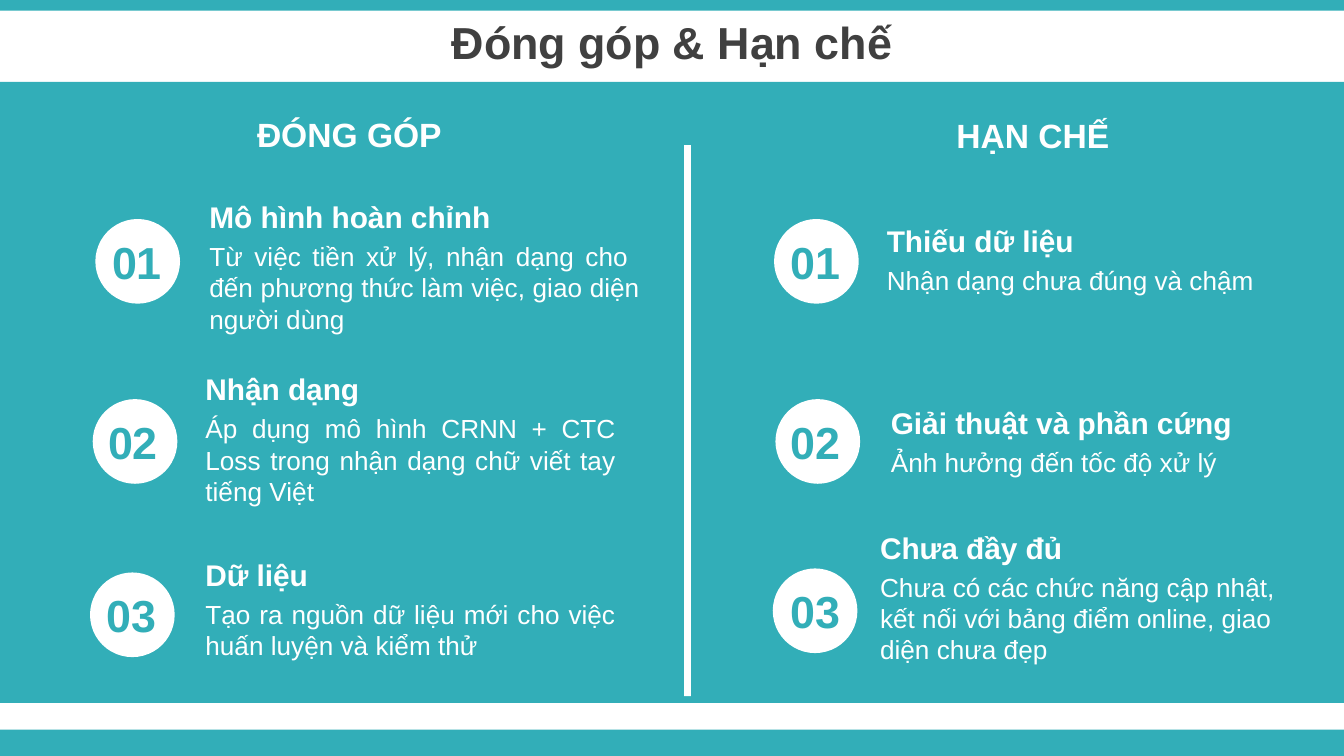
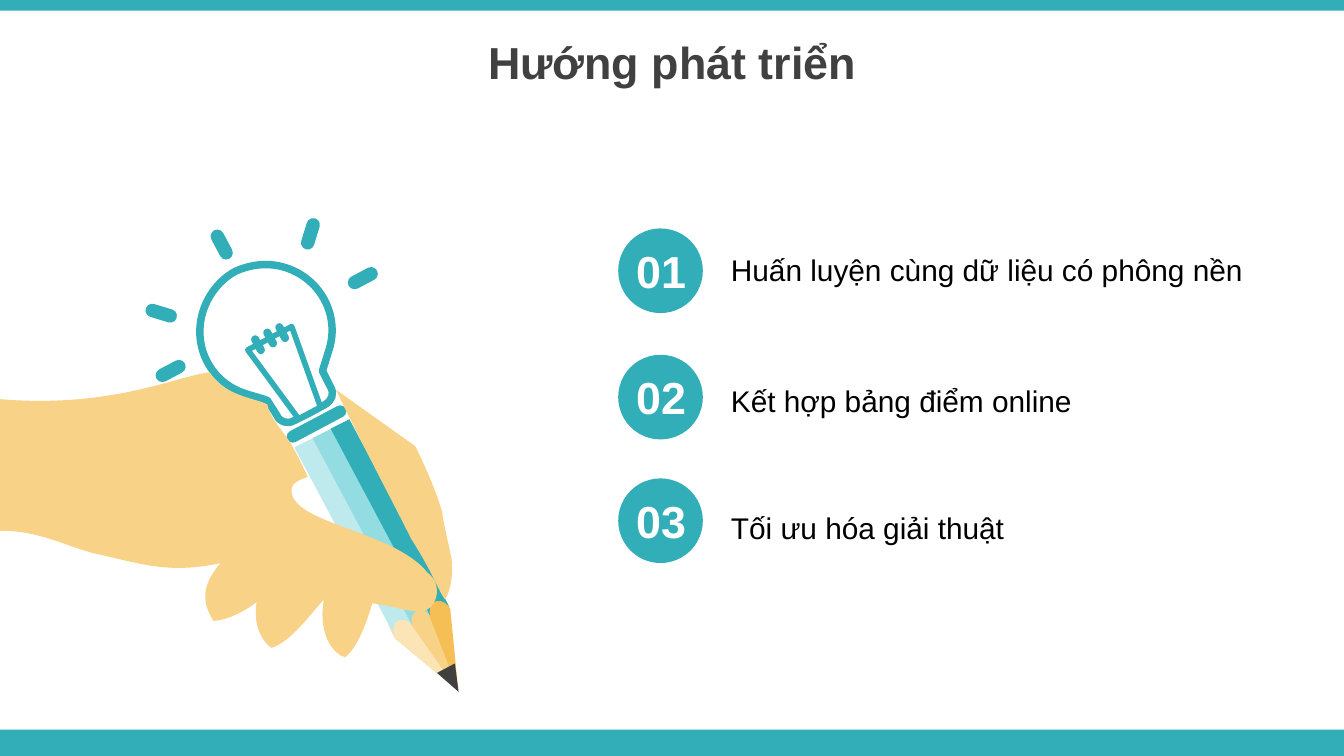
from copy import deepcopy
from lxml import etree
from pptx import Presentation
from pptx.dml.color import RGBColor
from pptx.enum.shapes import MSO_SHAPE
from pptx.enum.text import MSO_ANCHOR, MSO_AUTO_SIZE, PP_ALIGN
from pptx.oxml.ns import qn
from pptx.util import Inches, Pt

COLORS = {
    "teal": "32AEB8", "teal_mid": "92DCE2", "teal_pale": "BEEAED",
    "white": "FFFFFF", "dark": "404040", "black": "000000",
    "amber": "F6BF56", "skin": "F8D286", "cream": "FBE4B6",
}
FONT = "Arial"
WIDTH, HEIGHT = 10, 5.625
CIRCLE = 0.63

# Columns of the first slide: circle left, circle top, number left,
# text left, text top, text width, lines, heading, description
CONTRIBUTIONS = [
    (0.71, 1.63, 0.67, 1.46, 1.43, 3.4, 3, "Mô hình hoàn chỉnh",
     "Từ việc tiền xử lý, nhận dạng cho \nđến phương thức làm việc, giao diện người dùng"),
    (0.69, 2.97, 0.64, 1.43, 2.71, 3.25, 3, "Nhận dạng",
     "Áp dụng mô hình CRNN + CTC Loss trong nhận dạng chữ viết tay tiếng Việt"),
    (0.67, 4.26, 0.63, 1.43, 4.09, 3.25, 2, "Dữ liệu",
     "Tạo ra nguồn dữ liệu mới cho việc huấn luyện và kiểm thử"),
]
LIMITATIONS = [
    (5.76, 1.63, 5.72, 6.5, 1.61, 3.1, 1, "Thiếu dữ liệu", "Nhận dạng chưa đúng và chậm"),
    (5.77, 2.97, 5.72, 6.53, 2.96, 2.91, 1, "Giải thuật và phần cứng",
     "Ảnh hưởng đến tốc độ xử lý"),
    (5.75, 4.23, 5.72, 6.45, 3.89, 3.43, 3, "Chưa đầy đủ",
     "Chưa có các chức năng cập nhật, kết nối với bảng điểm online, giao diện chưa đẹp"),
]
# Circle top, text top, text
DIRECTIONS = [
    (1.7, 1.82, "Huấn luyện cùng dữ liệu có phông nền"),
    (2.64, 2.8, "Kết hợp bảng điểm online"),
    (3.56, 3.74, "Tối ưu hóa giải thuật"),
]

# Outlines: a pair is a line to a point, six numbers are a cubic curve
WOOD = [
    ("amber", [(2.89, 4.65), (3.3, 4.43), (3.35, 4.53), (3.41, 5.14), (2.94, 4.75)]),
    ("skin", [(3.02, 4.57), (3.16, 4.5), (3.19, 4.57), (3.41, 5.14), (3.07, 4.67)]),
    ("cream", [(2.89, 4.65), (3.02, 4.58), (3.04, 4.6, 3.05, 4.62, 3.06, 4.65),
               (3.4, 5.13), (2.94, 4.75)]),
]
STRIPE = [(2.19, 3.33), (2.33, 3.26), (3.07, 4.65),
          (3.03, 4.61, 2.99, 4.6, 2.96, 4.62), (2.93, 4.63, 2.92, 4.68, 2.93, 4.72)]
BULB = [
    (1.75, 2.02), (1.86, 1.97, 1.99, 1.95, 2.12, 1.99),
    (2.38, 2.07, 2.53, 2.34, 2.45, 2.6), (2.4, 2.76), (2.46, 2.88),
    (2.49, 2.93, 2.47, 2.98, 2.42, 3.01), (2.31, 3.07), (2.19, 3.13),
    (2.14, 3.16, 2.08, 3.14, 2.06, 3.09), (1.99, 2.98),
    (1.94, 2.96, 1.89, 2.95, 1.83, 2.93), (1.57, 2.85, 1.43, 2.58, 1.51, 2.32),
    (1.55, 2.19, 1.64, 2.08, 1.75, 2.02),
]
FINGER = [
    (2.5, 2.9), (3.09, 3.32), (3.17, 3.48, 3.25, 3.67, 3.29, 3.81),
    (3.31, 3.95, 3.34, 4.05, 3.36, 4.16), (3.37, 4.26, 3.36, 4.39, 3.31, 4.46),
    (3.26, 4.39, 3.22, 4.26, 3.06, 4.01), (2.93, 3.75, 2.64, 3.2, 2.5, 2.9),
]
PALM = [
    (1.56, 2.77), (1.67, 2.95, 1.9, 2.96, 1.99, 3.01),
    (2, 3.1, 2.13, 3.24, 2.17, 3.31), (2.22, 3.4, 2.25, 3.46, 2.29, 3.55),
    (2.22, 3.57, 2.16, 3.6, 2.17, 3.66), (2.19, 3.9, 2.93, 3.95, 3.18, 4.26),
    (3.31, 4.36, 3.24, 4.54, 3.14, 4.55), (3, 4.55, 2.95, 4.51, 2.77, 4.49),
    (2.71, 4.69, 2.65, 4.82, 2.57, 4.89), (2.5, 4.88, 2.36, 4.74, 2.41, 4.46),
    (2.31, 4.57, 2.16, 4.78, 2.02, 4.82), (1.91, 4.74, 1.89, 4.59, 1.91, 4.48),
    (1.83, 4.54, 1.71, 4.61, 1.59, 4.62), (1.46, 4.43, 1.56, 4.29, 1.64, 4.19),
    (1.28, 4.27, 1.06, 4.2, 0.76, 4.13), (0.53, 4.09, 0.31, 3.94, -0.02, 3.95),
    (0, 2.97), (0.83, 3.04, 1.31, 2.8, 1.56, 2.77),
]
# Left, top, width, height, rotation
RAYS = [
    (2.26, 1.62, 0.1, 0.24, 17), (1.15, 2.21, 0.1, 0.24, 287),
    (1.6, 1.7, 0.1, 0.24, 332), (2.65, 1.95, 0.1, 0.24, 62),
    (1.22, 2.64, 0.1, 0.24, 242),
]
COLLAR = (2.11, 3.11, 0.49, 0.09, 332)
COILS = [(1.89, 2.49, 0.06, 0.15, 332), (1.98, 2.44, 0.06, 0.15, 332),
         (2.07, 2.4, 0.06, 0.15, 332)]


def color(name):
    return RGBColor.from_string(COLORS[name])


def paint(shape, fill, line=None, weight=0):
    shape.shadow.inherit = False
    shape.fill.solid()
    shape.fill.fore_color.rgb = color(fill)
    if line:
        shape.line.color.rgb = color(line)
        shape.line.width = Pt(weight)
    else:
        shape.line.fill.background()


def add_preset(page, kind, left, top, width, height, fill, rotation=0, **outline):
    shape = page.shapes.add_shape(
        kind, Inches(left), Inches(top), Inches(width), Inches(height))
    shape.rotation = rotation
    paint(shape, fill, **outline)
    return shape


def add_bar(page, left, top, width, height, rotation):
    bar = add_preset(page, MSO_SHAPE.ROUNDED_RECTANGLE, left, top, width, height,
                     "teal", rotation)
    bar.adjustments[0] = 0.5


def add_outline(page, outlines, fill, shift=(0, 0), **outline_format):
    """Draw closed outlines as one shape, with true cubic curves."""
    builder = None
    for outline in outlines:
        points = [(Inches(step[i] + shift[0]), Inches(step[i + 1] + shift[1]))
                  for step in outline for i in range(0, len(step), 2)]
        if builder is None:
            builder = page.shapes.build_freeform(*points[0])
        else:
            builder.move_to(*points[0])
        builder.add_line_segments(points[1:], close=True)
    shape = builder.convert_to_shape()
    # Join each three lines that stand for a curve
    lines = iter(list(shape.element.iter(qn("a:lnTo"))))
    for step in (step for outline in outlines for step in outline[1:]):
        line = next(lines)
        if len(step) == 6:
            curve = etree.Element(qn("a:cubicBezTo"))
            line.addprevious(curve)
            for part in (line, next(lines), next(lines)):
                curve.append(part[0])
                part.getparent().remove(part)
    paint(shape, fill, **outline_format)


def write(frame, text, size=14, ink="white", bold=False, align=PP_ALIGN.LEFT,
          anchor=MSO_ANCHOR.TOP):
    frame.word_wrap = True
    frame.vertical_anchor = anchor
    para = frame.paragraphs[0]
    para.text = text
    para.alignment = align
    for span in para.runs:
        span.font.name = FONT
        span.font.size = Pt(size)
        span.font.bold = bold
        span.font.color.rgb = color(ink)
    # Line breaks take the size of the text around them
    for line_break in para._p.findall(qn("a:br")):
        line_break.append(deepcopy(para.runs[0]._r.rPr))


def add_text(page, left, top, width, height, text, **text_format):
    box = page.shapes.add_textbox(Inches(left), Inches(top), Inches(width), Inches(height))
    write(box.text_frame, text, **text_format)
    box.text_frame.auto_size = MSO_AUTO_SIZE.SHAPE_TO_FIT_TEXT


def add_number(page, left, top, number_left, number, fill, ink):
    add_preset(page, MSO_SHAPE.OVAL, left, top, CIRCLE, CIRCLE, fill)
    add_text(page, number_left, top + 0.065, 0.7, 0.5, f"{number:02}",
             size=24, ink=ink, bold=True, align=PP_ALIGN.CENTER)


def add_column(page, items, align):
    for number, item in enumerate(items, 1):
        (circle_left, circle_top, number_left, left, top, width, lines,
         heading, description) = item
        add_number(page, circle_left, circle_top, number_left, number, "white", "teal")
        add_text(page, left, top + 0.31, width, 0.1 + 0.24 * lines, description, align=align)
        add_text(page, left, top, 2.91, 0.37, heading, size=16, bold=True)


def add_bands(page):
    """Put the top and bottom bands on the layout that the pages share."""
    tree = page.slide_layout.shapes.element
    for number, (top, height) in enumerate(((0, 0.08), (5.43, 0.2)), 101):
        band = add_preset(page, MSO_SHAPE.RECTANGLE, 0, top, WIDTH, height, "teal")
        band.element.nvSpPr.cNvPr.set("id", str(number))
        tree.insert(2, band.element)


def add_page(deck, title, top, height):
    page = deck.slides.add_slide(deck.slide_layouts[5])
    holder = page.shapes.title
    holder.left, holder.top = Inches(0), Inches(top)
    holder.width, holder.height = Inches(WIDTH), Inches(height)
    write(holder.text_frame, title, size=24, ink="dark", bold=True,
          align=PP_ALIGN.CENTER, anchor=MSO_ANCHOR.MIDDLE)
    return page


def draw_pencil_bulb(page):
    # Pencil
    for fill, outline in WOOD:
        add_outline(page, [outline], fill)
    for index, fill in enumerate(("teal_pale", "teal_mid", "teal")):
        add_outline(page, [STRIPE], fill, shift=(0.135 * index, -0.07 * index))
    add_preset(page, MSO_SHAPE.ISOSCELES_TRIANGLE, 3.29, 4.96, 0.15, 0.2, "dark", 152)
    # Light bulb
    add_outline(page, [BULB], "white", line="teal", weight=4)
    add_preset(page, MSO_SHAPE.TRAPEZOID, 1.97, 2.48, 0.37, 0.63, "white", 152,
               line="teal", weight=3)
    for bar in [*RAYS, COLLAR, *COILS]:
        add_bar(page, *bar)
    # Hand
    add_outline(page, [FINGER, PALM], "skin")


def build_contributions(deck):
    page = add_page(deck, "Đóng góp & Hạn chế", 0.07, 0.48)
    add_bands(page)
    add_preset(page, MSO_SHAPE.RECTANGLE, 0, 0.61, WIDTH, 4.62, "teal")
    add_preset(page, MSO_SHAPE.RECTANGLE, 5.09, 1.08, 0.05, 4.1, "white")
    for left, top, width, text in ((1.42, 0.8, 2.36, "ĐÓNG GÓP"),
                                   (6.73, 0.81, 1.91, "HẠN CHẾ")):
        add_text(page, left, top, width, 0.4, text, size=18, bold=True,
                 align=PP_ALIGN.CENTER)
    add_column(page, CONTRIBUTIONS, PP_ALIGN.JUSTIFY)
    add_column(page, LIMITATIONS, PP_ALIGN.LEFT)


def build_directions(deck):
    page = add_page(deck, "Hướng phát triển", 0.14, 0.63)
    draw_pencil_bulb(page)
    for number, (circle_top, text_top, text) in enumerate(DIRECTIONS, 1):
        add_number(page, 4.6, circle_top, 4.57, number, "teal", "white")
        add_text(page, 5.34, text_top, 4.02, 0.37, text, size=16, ink="black")


def main():
    deck = Presentation()
    deck.slide_width, deck.slide_height = Inches(WIDTH), Inches(HEIGHT)
    build_contributions(deck)
    build_directions(deck)
    deck.save("out.pptx")


if __name__ == "__main__":
    main()
